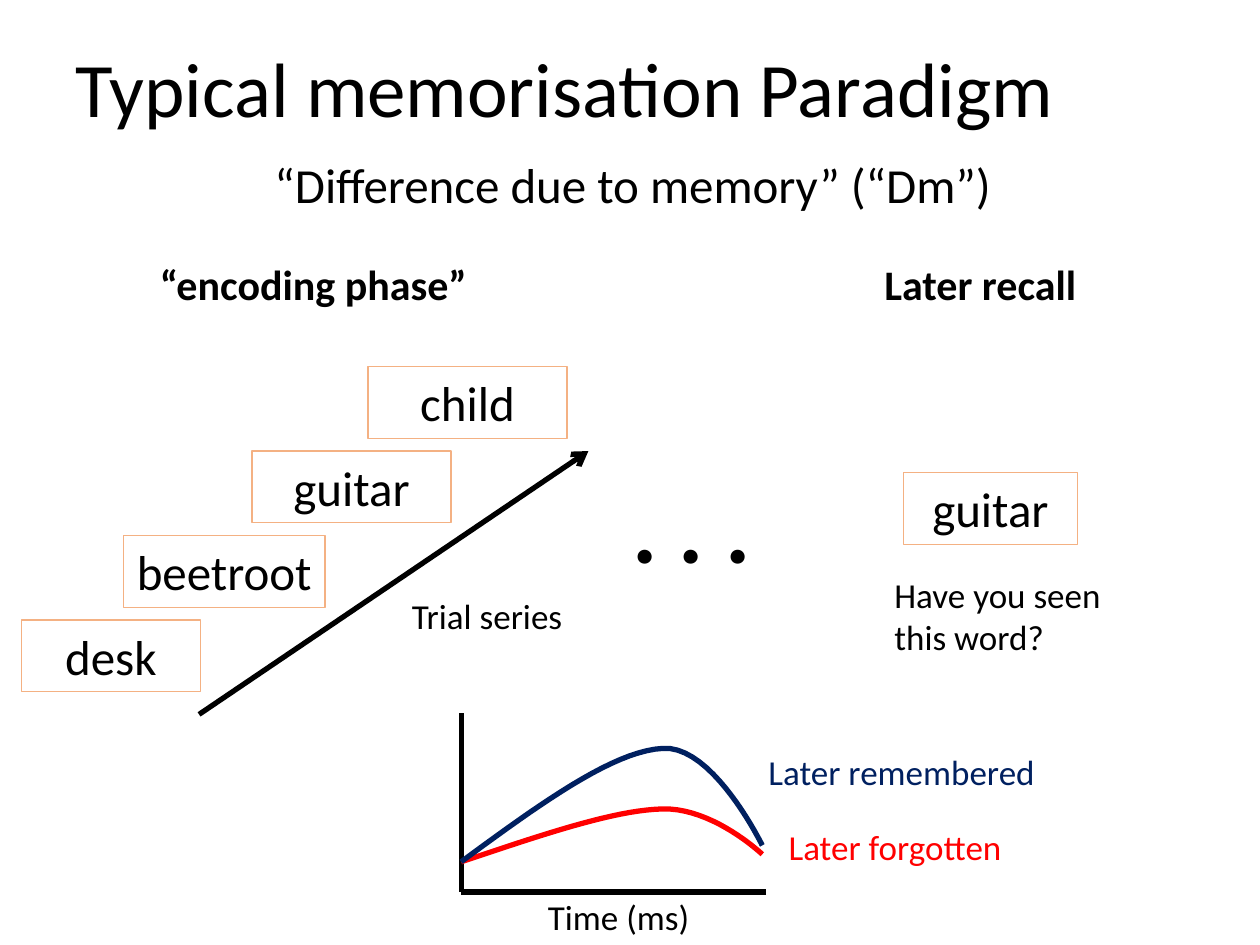
"""Build the memorisation paradigm slide."""
from lxml import etree
from pptx import Presentation
from pptx.dml.color import RGBColor
from pptx.enum.shapes import MSO_CONNECTOR, MSO_SHAPE
from pptx.enum.text import MSO_ANCHOR, PP_ALIGN
from pptx.oxml.ns import qn
from pptx.util import Inches, Pt

RECT = MSO_SHAPE.RECTANGLE
STRAIGHT = MSO_CONNECTOR.STRAIGHT
TOP, MIDDLE = MSO_ANCHOR.TOP, MSO_ANCHOR.MIDDLE
CENTER = PP_ALIGN.CENTER
COLORS = {"black": "000000", "border": "F4B183", "red": "FF0000", "navy": "002060"}


def write(sp, text, size, color="black", bold=False, wrap=False, anchor=TOP):
    tf = sp.text_frame
    tf.word_wrap = wrap
    tf.vertical_anchor = anchor
    p = tf.paragraphs[0]
    p.text = text
    p.font.name = "Calibri"
    p.font.size = Pt(size)
    p.font.bold = bold
    p.font.color.rgb = RGBColor.from_string(COLORS[color])
    return p


def style_line(sp, color, width):
    sp.line.color.rgb = RGBColor.from_string(COLORS[color])
    sp.line.width = Pt(width)


prs = Presentation()
prs.slide_width, prs.slide_height = Inches(10), Inches(7.5)
s = prs.slides.add_slide(prs.slide_layouts[6])

title = s.shapes.add_textbox(Inches(0.5), Inches(0.14), Inches(8.99), Inches(1.19))
p = write(title, "Typical memorisation Paradigm", 44, wrap=True, anchor=MIDDLE)
p.line_spacing = 0.9

labels = [
    ("“Difference due to memory” (“Dm”)", 2.08, 1.18, 5.96, 0.57, 28, "black", False),
    ("“encoding phase”", 1.17, 2, 2.66, 0.51, 24, "black", True),
    ("Later recall", 6.92, 2, 1.74, 0.51, 24, "black", True),
    (". . .", 4.92, 3.67, 1.15, 1.01, 54, "black", True),
    ("Trial series", 3.17, 4.67, 1.41, 0.44, 20, "black", False),
    ("Later remembered", 6, 5.91, 2.34, 0.44, 20, "navy", False),
    ("Later forgotten", 6.16, 6.5, 1.91, 0.44, 20, "red", False),
    ("Time (ms)", 4.25, 7.06, 1.34, 0.44, 20, "black", False),
]
for text, x, y, w, h, size, color, bold in labels:
    sp = s.shapes.add_textbox(Inches(x), Inches(y), Inches(w), Inches(h))
    write(sp, text, size, color, bold)

question = s.shapes.add_textbox(Inches(7), Inches(4.5), Inches(2.08), Inches(0.77))
write(question, "Have you seen this word?", 20, wrap=True)

trials = [("desk", 0.17, 1.42), ("beetroot", 0.98, 1.6),
          ("guitar", 2, 1.58), ("child", 2.92, 1.58)]
cards = [(word, x, 4.92 - 0.67 * i, w) for i, (word, x, w) in enumerate(trials)]
cards.append(("guitar", 7.17, 3.75, 1.38))
for word, x, y, w in cards:
    sp = s.shapes.add_shape(RECT, Inches(x), Inches(y), Inches(w), Inches(0.57))
    sp.shadow.inherit = False
    sp.fill.background()
    style_line(sp, "border", 0.75)
    write(sp, word, 28).alignment = CENTER

lines = [(1.58, 5.67, 4.67, 3.58, True),
         (3.66, 5.66, 3.66, 7.08, False),
         (6.08, 7.08, 3.66, 7.08, False)]
for x1, y1, x2, y2, arrow in lines:
    sp = s.shapes.add_connector(STRAIGHT, Inches(x1), Inches(y1), Inches(x2), Inches(y2))
    style_line(sp, "black", 3)
    if arrow:
        etree.SubElement(sp.line._get_or_add_ln(), qn("a:tailEnd"), type="arrow")
    etree.SubElement(sp._element.spPr, qn("a:effectLst"))

STEPS = 20
curve_x = [3.66, 4.26, 4.86, 5.26, 5.66, 6.05, 6.05]
curves = [("red", [6.84, 6.64, 6.43, 6.42, 6.41, 6.78, 6.78]),
          ("navy", [6.84, 6.4, 5.96, 5.94, 5.91, 6.71, 6.71])]
for color, curve_y in curves:
    points = []
    for start in (0, 3):
        for n in range(1, STEPS + 1):
            t = n / STEPS
            weights = [(1 - t) ** 3, 3 * t * (1 - t) ** 2, 3 * t ** 2 * (1 - t), t ** 3]
            points.append(tuple(
                Inches(sum(k * v for k, v in zip(weights, axis[start:start + 4])))
                for axis in (curve_x, curve_y)))
    builder = s.shapes.build_freeform(Inches(curve_x[0]), Inches(curve_y[0]))
    builder.add_line_segments(points, close=False)
    sp = builder.convert_to_shape()
    sp.shadow.inherit = False
    sp.fill.background()
    style_line(sp, color, 3)

prs.save("out.pptx")
